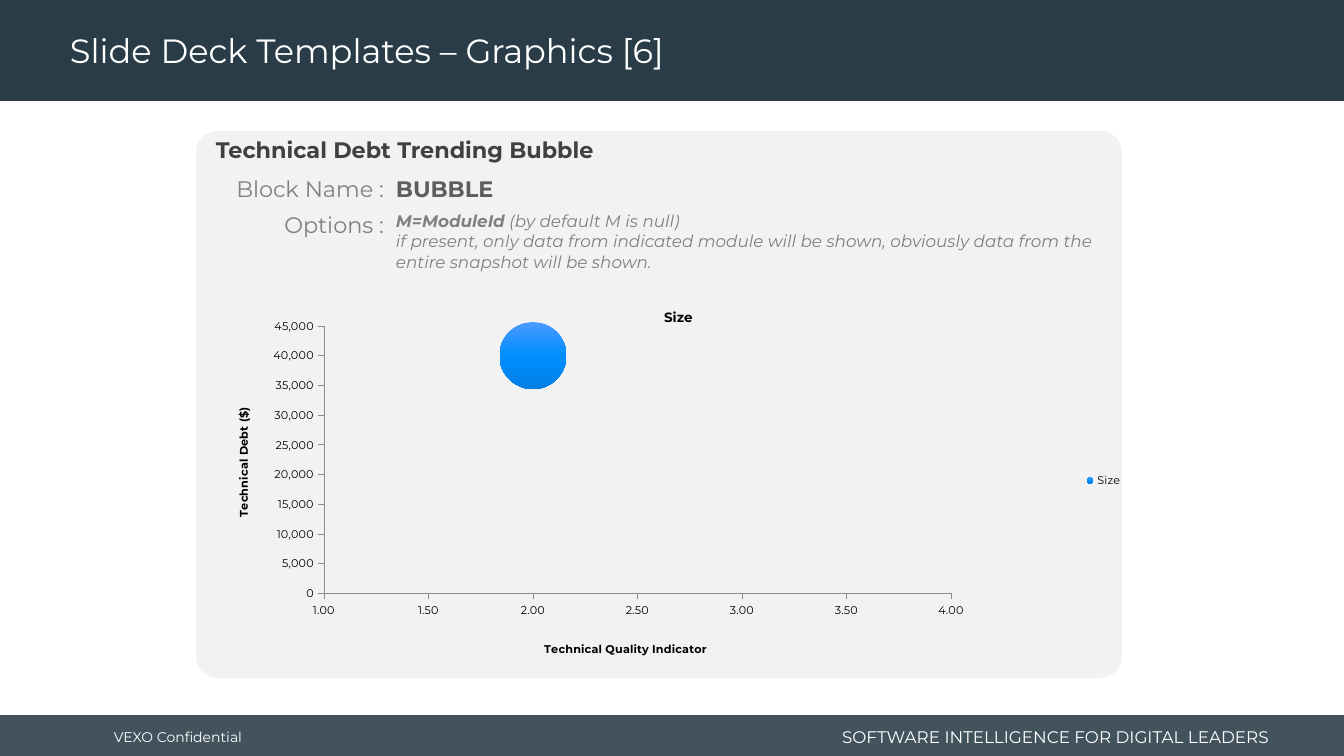
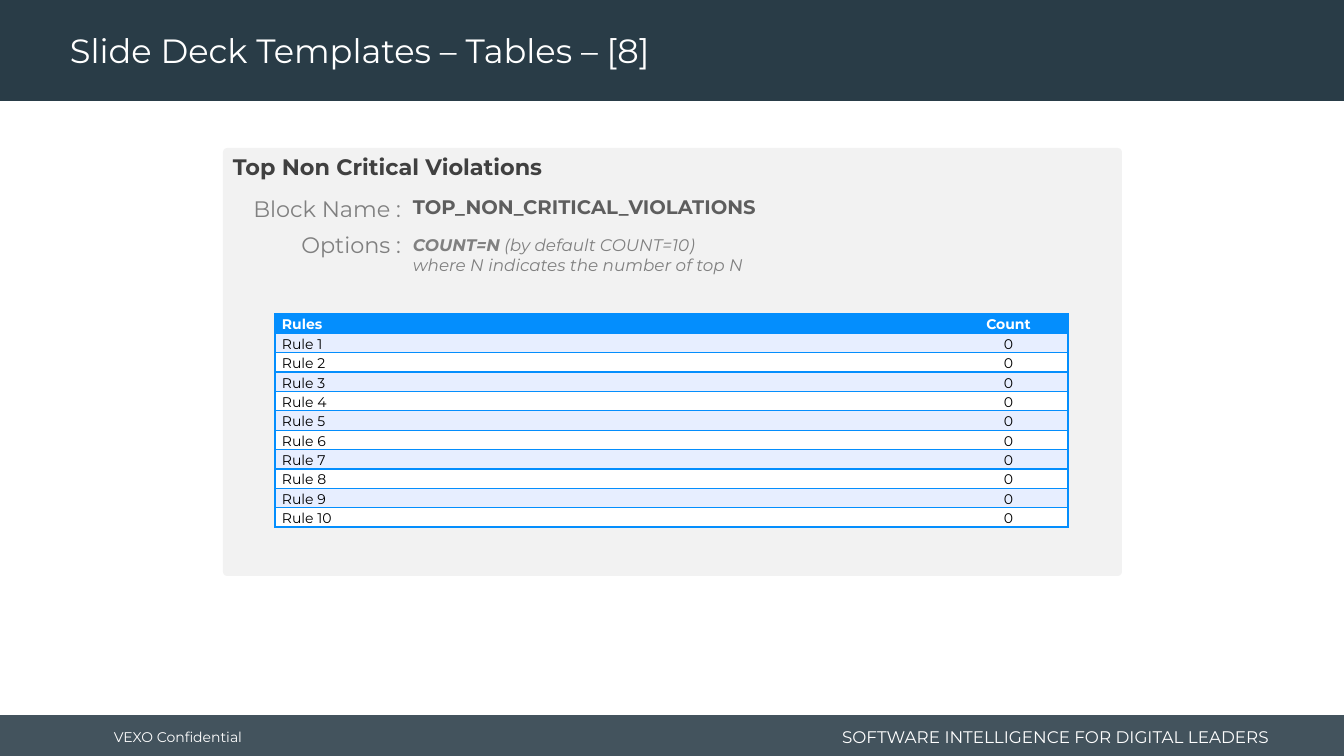
from copy import deepcopy

from pptx import Presentation
from pptx.chart.data import BubbleChartData
from pptx.dml.color import RGBColor
from pptx.enum.chart import XL_CHART_TYPE as CHART, XL_LEGEND_POSITION as LEGEND, XL_TICK_MARK as TICK
from pptx.enum.shapes import MSO_SHAPE as SHAPE
from pptx.enum.text import MSO_ANCHOR as ANCHOR, PP_ALIGN as ALIGN
from pptx.oxml import parse_xml
from pptx.oxml.ns import nsdecls, qn
from pptx.util import Pt

FONT = "Montserrat"
WIDTH, HEIGHT = 1344, 756
NAVY, SLATE, PANEL = "293C47", "43535D", "F2F2F2"
WHITE, BLACK = "FFFFFF", "000000"
HEADING, VALUE, MUTED, AXIS = "404040", "5E5E5E", "808080", "8C8C8C"
BLUE, PALE_BLUE = "048EFD", "E7EEFF"
BUBBLE_GRADIENT = ["4B9AFF", "028EFF", "007FE4"]


def px(length):
    """Turn a length in px into EMU."""
    return round(length * 914400 / 100.8)


def rgb(colour):
    """Turn a hex string into a colour."""
    return RGBColor.from_string(colour)


def style_font(font, size, colour=BLACK, bold=False, italic=False):
    """Set every format property of a font."""
    font.name, font.size, font.color.rgb = FONT, Pt(size), rgb(colour)
    font.bold, font.italic = bold, italic


def write_text(frame, text, size, colour=BLACK, bold=False, italic=False, align=ALIGN.LEFT, spacing=None):
    """Fill a text frame from a string or a list of paragraphs made of (text, bold) runs."""
    paragraphs = [[(text, bold)]] if isinstance(text, str) else text
    for index, runs in enumerate(paragraphs):
        paragraph = frame.add_paragraph() if index else frame.paragraphs[0]
        paragraph.alignment = align
        if spacing:
            paragraph.line_spacing = spacing
        for words, run_bold in runs:
            run = paragraph.add_run()
            run.text = words
            style_font(run.font, size, colour, run_bold, italic)


def add_text(slide, box, text, inset=10, anchor=ANCHOR.TOP, **text_format):
    """Add a wrapping text box."""
    frame = slide.shapes.add_textbox(*map(px, box)).text_frame
    frame.word_wrap = True
    frame.vertical_anchor = anchor
    frame.margin_left = frame.margin_right = px(inset)
    frame.margin_top = frame.margin_bottom = px(5)
    write_text(frame, text, **text_format)


def add_block(slide, box, colour, radius=None):
    """Add a plain filled rectangle, rounded when a radius ratio is given."""
    preset = SHAPE.ROUNDED_RECTANGLE if radius else SHAPE.RECTANGLE
    block = slide.shapes.add_shape(preset, *map(px, box))
    if radius:
        block.adjustments[0] = radius
    block.shadow.inherit = False
    block.fill.solid()
    block.fill.fore_color.rgb = rgb(colour)
    block.line.fill.background()


def add_framed_slide(deck, title):
    """Add a slide with the shared header and footer."""
    slide = deck.slides.add_slide(deck.slide_layouts[6])
    add_block(slide, (0, 715, WIDTH, HEIGHT - 715), SLATE)
    add_block(slide, (0, 0, WIDTH, 101), NAVY)
    add_text(slide, (104, 717, 180, 40), "VEXO Confidential", size=10, colour=WHITE, anchor=ANCHOR.MIDDLE)
    add_text(slide, (817, 721, 462, 32), "SOFTWARE INTELLIGENCE FOR DIGITAL LEADERS",
             size=12, colour=WHITE, align=ALIGN.RIGHT, anchor=ANCHOR.MIDDLE)
    add_text(slide, (60, 4, 966, 97), title, size=24, colour=WHITE, spacing=0.9, anchor=ANCHOR.MIDDLE)
    return slide


def add_heading(slide, left, top, heading):
    """Add the bold heading of a panel."""
    add_text(slide, (left, top, 898, 37), heading, inset=20, size=16, colour=HEADING, bold=True)


def add_field(slide, divide, top, label, value, drop=0, **value_format):
    """Add a label that ends at the divide and its value just after it."""
    add_text(slide, (divide - 200, top, 200, 37), label, size=16, colour=MUTED, align=ALIGN.RIGHT)
    add_text(slide, (divide - 8, top + drop, 731, 37), value, **value_format)


def set_layout(part, **fractions):
    """Place a chart part by fractions of the chart area."""
    for automatic in part.findall(qn("c:layout")):
        part.remove(automatic)
    target = '<c:layoutTarget val="inner"/>' if "w" in fractions else ""
    modes = '<c:xMode val="edge"/><c:yMode val="edge"/>'
    sizes = "".join(f'<c:{key} val="{value}"/>' for key, value in fractions.items())
    layout = parse_xml(f'<c:layout {nsdecls("c")}><c:manualLayout>{target}{modes}{sizes}</c:manualLayout></c:layout>')
    part.insert(len(part.findall(qn("c:tx"))), layout)


def style_axis(axis, title, limits, step, number_format, place):
    """Set the scale, line, labels and title of an axis."""
    axis.minimum_scale, axis.maximum_scale = limits
    axis.major_unit = step
    axis.has_major_gridlines = False
    axis.major_tick_mark, axis.minor_tick_mark = TICK.OUTSIDE, TICK.NONE
    axis.format.line.color.rgb = rgb(AXIS)
    axis.format.line.width = Pt(0.5)
    axis.tick_labels.number_format = number_format
    axis.tick_labels.number_format_is_linked = False
    style_font(axis.tick_labels.font, 8)
    write_text(axis.axis_title.text_frame, title, size=8, bold=True, align=ALIGN.CENTER)
    set_layout(axis.axis_title._element, **place)


def fill_gradient(series, colours):
    """Fill a series from top to bottom with evenly spaced colours."""
    fill = series.format.fill
    fill.gradient()
    fill.gradient_angle = 270
    stop_list = next(series._element.iter(qn("a:gsLst")))
    for _ in colours[2:]:
        stop_list.insert(1, deepcopy(stop_list[0]))
    for index, (stop, colour) in enumerate(zip(fill.gradient_stops, colours)):
        stop.position = index / (len(colours) - 1)
        stop.color.rgb = rgb(colour)
    series.format.line.fill.background()


def add_debt_chart(slide, box):
    """Add the bubble chart of technical debt against quality."""
    data = BubbleChartData()
    data.add_series("Size").add_data_point(2, 40000, 20000)
    chart = slide.shapes.add_chart(CHART.BUBBLE, *map(px, box), data).chart
    style_font(chart.font, 8)
    chart.has_title = True
    write_text(chart.chart_title.text_frame, "Size", size=9.6, bold=True, align=ALIGN.CENTER)
    chart.has_legend = True
    chart.legend.position = LEGEND.RIGHT
    chart.legend.include_in_layout = False
    style_font(chart.legend.font, 8)

    style_axis(chart.category_axis, "Technical Quality Indicator", (1, 4), 0.5, "0.00", {"x": 0.35, "y": 0.92})
    style_axis(chart.value_axis, "Technical Debt ($)", (0, 45000), 5000, "#,##0", {"x": 0.01, "y": 0.3})
    next(chart.value_axis.axis_title._element.iter(qn("a:bodyPr"))).set("rot", "-5400000")

    fill_gradient(chart.plots[0].series[0], BUBBLE_GRADIENT)
    chart_part = chart._chartSpace.find(qn("c:chart"))
    set_layout(chart_part.find(qn("c:plotArea")), x=0.11, y=0.09, w=0.69, h=0.71)
    chart_part.addnext(parse_xml(
        f'<c:spPr {nsdecls("c", "a")}><a:noFill/><a:ln><a:noFill/></a:ln></c:spPr>'))


def set_borders(cell, edges):
    """Draw the named cell edges and clear the others."""
    properties = cell._tc.get_or_add_tcPr()
    for edge in "LRTB":
        paint = f'<a:solidFill><a:srgbClr val="{BLUE}"/></a:solidFill>' if edge in edges else "<a:noFill/>"
        properties.append(parse_xml(f'<a:ln{edge} {nsdecls("a")} w="12700">{paint}</a:ln{edge}>'))


def add_rule_table(slide, left, top, rows):
    """Add a two-column banded table whose first row is the header."""
    widths, row_height = (674, 119), 19
    box = (left, top, sum(widths), row_height * len(rows))
    table = slide.shapes.add_table(len(rows), len(widths), *map(px, box)).table
    table.first_row = table.horz_banding = False
    for column, width in zip(table.columns, widths):
        column.width = px(width)
    for row_index, row in enumerate(rows):
        table.rows[row_index].height = px(row_height)
        header = row_index == 0
        band = BLUE if header else (WHITE, PALE_BLUE)[row_index % 2]
        for column_index, (words, edges, align) in enumerate(zip(row, ("LTB", "RTB"), (ALIGN.LEFT, ALIGN.CENTER))):
            cell = table.cell(row_index, column_index)
            set_borders(cell, edges)
            cell.fill.solid()
            cell.fill.fore_color.rgb = rgb(band)
            cell.margin_left = cell.margin_right = px(7)
            cell.margin_top = cell.margin_bottom = 0
            write_text(cell.text_frame, words, size=10, colour=WHITE if header else BLACK,
                       bold=header, align=align, spacing=1.15)


def build_bubble_slide(deck):
    """Build the slide on the bubble chart block."""
    slide = add_framed_slide(deck, "Slide Deck Templates – Graphics [6]")
    add_block(slide, (196, 131, 926, 547), PANEL, radius=0.04)
    add_heading(slide, 196, 131, "Technical Debt Trending Bubble")
    add_debt_chart(slide, (224, 292, 909, 377))
    add_field(slide, 394, 170, "Block Name :", "BUBBLE", size=16, colour=VALUE, bold=True)
    options = [
        [("M=ModuleId", True), (" (by default M is null)", False)],
        [("if present, only data from indicated module will be shown, obviously data from the "
          "entire snapshot will be shown.", False)],
    ]
    add_field(slide, 394, 206, "Options :", options, size=12, colour=MUTED, italic=True)


def build_violations_slide(deck):
    """Build the slide on the violations table block."""
    slide = add_framed_slide(deck, "Slide Deck Templates – Tables – [8]")
    add_block(slide, (223, 148, 899, 428), PANEL, radius=0.01)
    add_heading(slide, 213, 148, "Top Non Critical Violations")
    add_field(slide, 411, 190, "Block Name :", "TOP_NON_CRITICAL_VIOLATIONS", size=14, colour=VALUE, bold=True)
    options = [
        [("COUNT=N", True), (" (by default COUNT=10)", False)],
        [("where N indicates the number of top N", False)],
    ]
    add_field(slide, 411, 226, "Options :", options, drop=4, size=12, colour=MUTED, italic=True)
    rules = [(f"Rule {number}", "0") for number in range(1, 11)]
    add_rule_table(slide, 275, 314, [("Rules", "Count"), *rules])


def main():
    """Build and save the deck."""
    deck = Presentation()
    deck.slide_width, deck.slide_height = px(WIDTH), px(HEIGHT)
    build_bubble_slide(deck)
    build_violations_slide(deck)
    deck.save("out.pptx")


if __name__ == "__main__":
    main()
